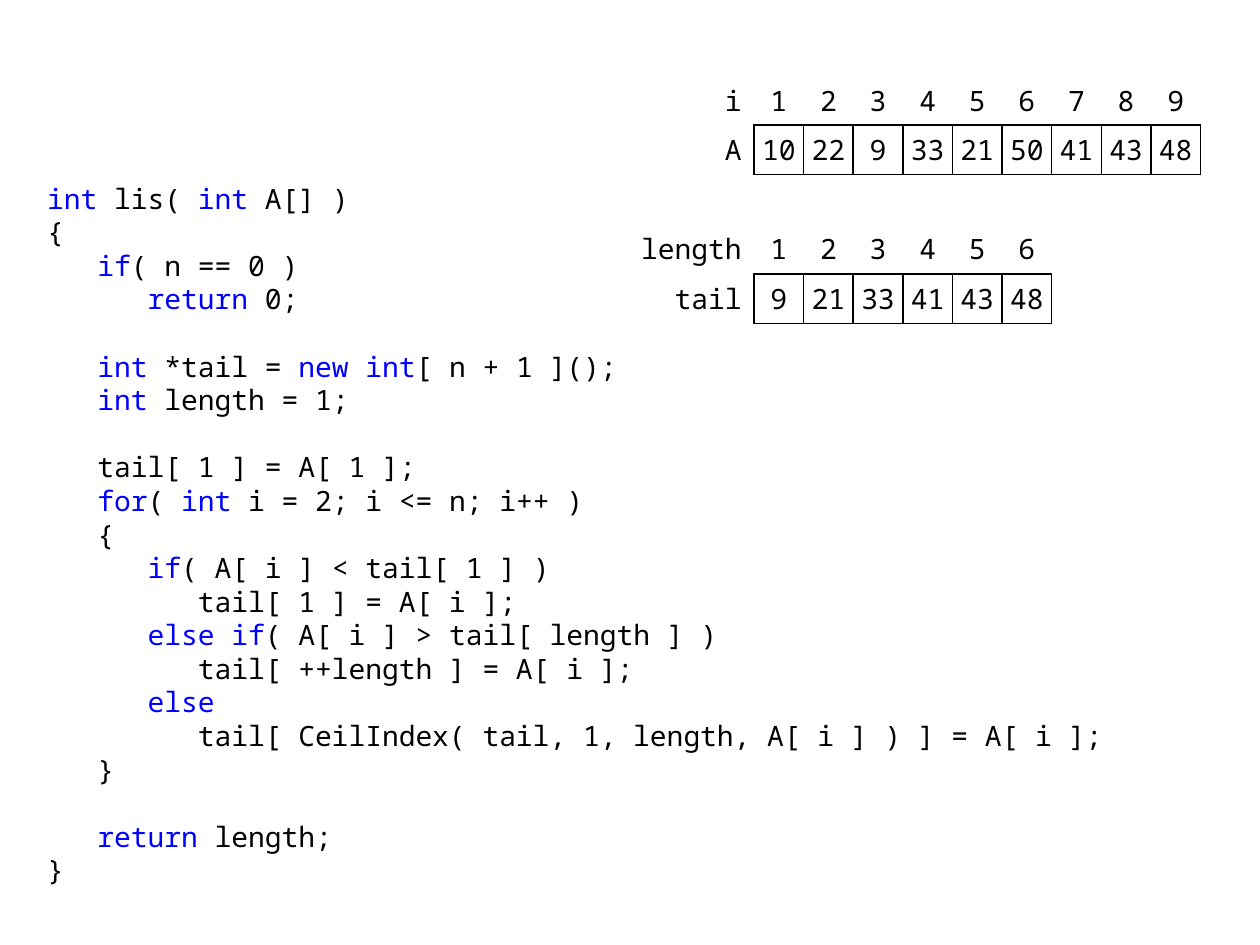
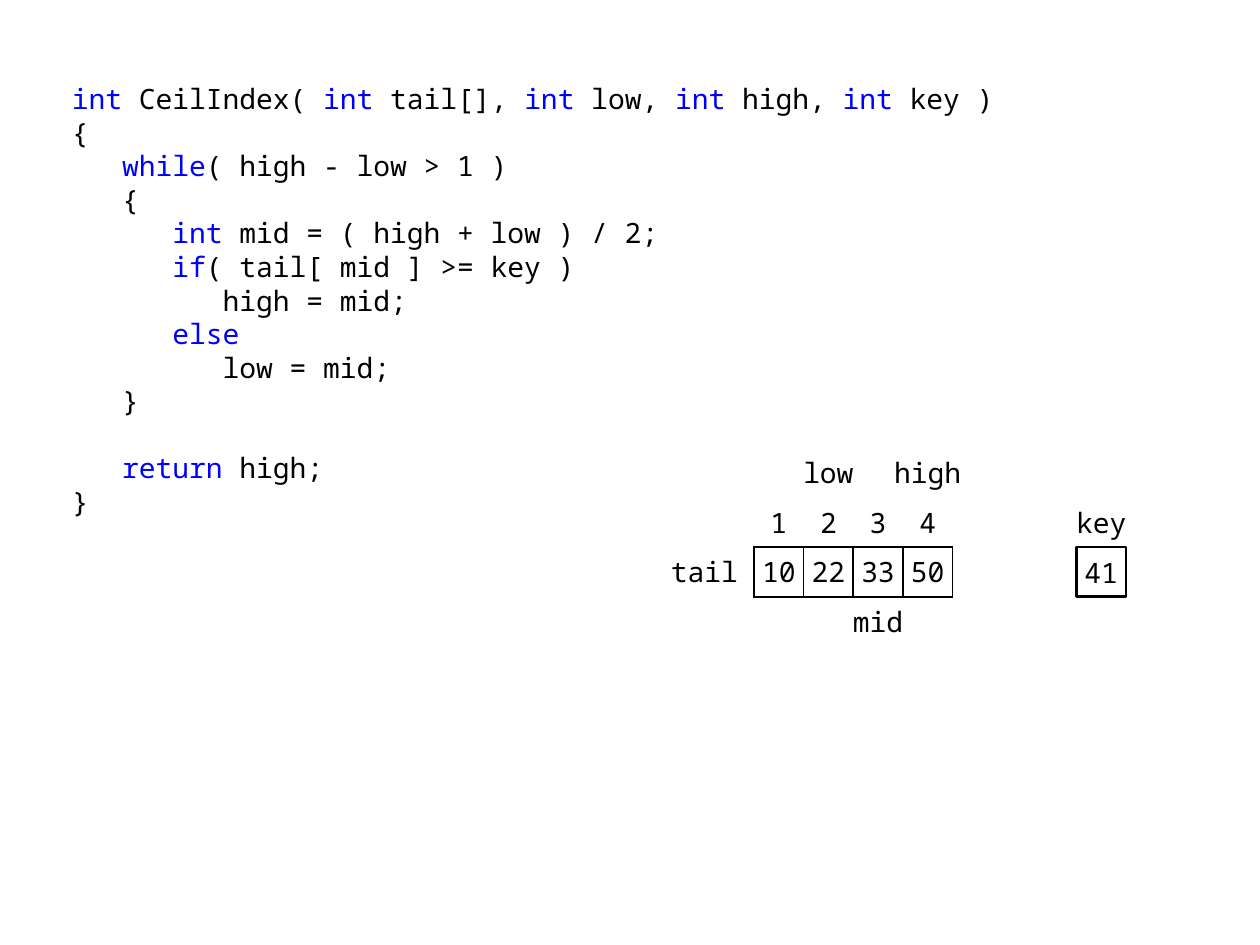
from itertools import groupby

from lxml import etree
from pptx import Presentation
from pptx.dml.color import RGBColor
from pptx.enum.shapes import MSO_SHAPE
from pptx.enum.text import MSO_ANCHOR, PP_ALIGN
from pptx.oxml.ns import qn
from pptx.util import Cm, Pt

RECTANGLE = MSO_SHAPE.RECTANGLE
MIDDLE = MSO_ANCHOR.MIDDLE
CENTER, RIGHT = PP_ALIGN.CENTER, PP_ALIGN.RIGHT

FONT, SIZE = "Noto Sans Mono", 16
LINE_HEIGHT = 19.2
BLACK, WHITE, BLUE = "000000", "FFFFFF", "0000FF"
KEYWORDS = {"int", "if", "else", "for", "while", "new", "return"}
CELL = 1          # side of one array cell, in cm
ARRAY_LEFT = 15.2  # where the first value of every array starts

LIS_CODE = """\
int lis( int A[] )
{
   if( n == 0 )
      return 0;

   int *tail = new int[ n + 1 ]();
   int length = 1;

   tail[ 1 ] = A[ 1 ];
   for( int i = 2; i <= n; i++ )
   {
      if( A[ i ] < tail[ 1 ] )
         tail[ 1 ] = A[ i ];
      else if( A[ i ] > tail[ length ] )
         tail[ ++length ] = A[ i ];
      else
         tail[ CeilIndex( tail, 1, length, A[ i ] ) ] = A[ i ];
   }

   return length;
}"""

CEIL_INDEX_CODE = """\
int CeilIndex( int tail[], int low, int high, int key )
{
   while( high - low > 1 )
   {
      int mid = ( high + low ) / 2;
      if( tail[ mid ] >= key )
         high = mid;
      else
         low = mid;
   }

   return high;
}"""


def color(hex_string):
    return RGBColor.from_string(hex_string)


def style_span(span, hex_string=BLACK):
    span.font.name = FONT
    span.font.size = Pt(SIZE)
    span.font.color.rgb = color(hex_string)


def write_label(frame, text, align=CENTER):
    """Fill a frame with one line of code text."""
    frame.text = str(text)
    para = frame.paragraphs[0]
    para.alignment = align
    for span in para.runs:
        style_span(span)


def add_code(page, left, top, width, height, code):
    """Code listing with blue keywords; an empty line becomes space before."""
    box = page.shapes.add_textbox(Cm(left), Cm(top), Cm(width), Cm(height))
    frame = box.text_frame
    frame.word_wrap = True
    para = frame.paragraphs[0]
    gap = 0
    for number, line in enumerate(code.splitlines()):
        if not line:
            gap = LINE_HEIGHT
            continue
        if number:
            para = frame.add_paragraph()
        para.line_spacing = Pt(LINE_HEIGHT)
        para.space_before = Pt(gap)
        gap = 0
        words = ["".join(chars) for _, chars in groupby(line, str.isalnum)]
        for is_keyword, part in groupby(words, lambda word: word in KEYWORDS):
            span = para.add_run()
            span.text = "".join(part)
            style_span(span, BLUE if is_keyword else BLACK)


def set_borders(cell, sides):
    """Draw 1 pt black lines on the named sides (L, R, T, B), in that order."""
    properties = cell._tc.get_or_add_tcPr()
    for side in sides:
        line = etree.SubElement(properties, qn(f"a:ln{side}"), w=str(Pt(1)))
        fill = etree.SubElement(line, qn("a:solidFill"))
        etree.SubElement(fill, qn("a:srgbClr"), val=BLACK)


def add_array(page, top, label_width, labels, values, label_align=RIGHT):
    """Indices from 1 above a row of boxed values, with labels to the left."""
    rows = [[labels[0], *range(1, len(values) + 1)], [labels[1], *values]]
    columns = len(rows[0])
    table = page.shapes.add_table(
        2, columns, Cm(ARRAY_LEFT - label_width), Cm(top),
        Cm(label_width + CELL * len(values)), Cm(2 * CELL)).table
    table.first_row = table.horz_banding = False
    for row in table.rows:
        row.height = Cm(CELL)
    for index, column in enumerate(table.columns):
        column.width = Cm(CELL if index else label_width)

    for row_index, row in enumerate(rows):
        for index, text in enumerate(row):
            cell = table.cell(row_index, index)
            align = CENTER if index else label_align
            cell.margin_left = cell.margin_top = cell.margin_bottom = 0
            cell.margin_right = Cm(0.25 if align == RIGHT else 0)
            cell.vertical_anchor = MIDDLE
            write_label(cell.text_frame, text, align)
            if index:
                set_borders(cell, "LRTB" if row_index else "B")
            elif row_index:
                set_borders(cell, "R")
            cell.fill.background()


def add_marker(page, center, top, text, width=2, outlined=False):
    """White box centred on a column."""
    box = page.shapes.add_shape(
        RECTANGLE, Cm(center - width / 2), Cm(top), Cm(width), Cm(CELL))
    box.shadow.inherit = False
    box.fill.solid()
    box.fill.fore_color.rgb = color(WHITE)
    if outlined:
        box.line.color.rgb = color(BLACK)
        box.line.width = Pt(1.5)
    else:
        box.line.fill.background()
    frame = box.text_frame
    frame.word_wrap = False
    frame.margin_left = frame.margin_right = 0
    frame.vertical_anchor = MIDDLE
    write_label(frame, text)


def column_center(index):
    return ARRAY_LEFT + (index - 0.5) * CELL


def build_lis_page(page):
    add_code(page, 0.7, 3.53, 23, 14.5, LIS_CODE)
    add_array(page, 4.52, 2.5, ("length", "tail"), (9, 21, 33, 41, 43, 48))
    add_array(page, 1.52, 1, ("i", "A"), (10, 22, 9, 33, 21, 50, 41, 43, 48))


def build_search_page(page):
    add_code(page, 1.2, 1.52, 23, 16.5, CEIL_INDEX_CODE)
    top = 10.03
    # Search bounds around the array
    add_marker(page, column_center(3), top + 2 * CELL, "mid")
    add_array(page, top, 2, ("", "tail"), (10, 22, 33, 50), CENTER)
    add_marker(page, column_center(2), top - CELL, "low")
    add_marker(page, column_center(4), top - CELL, "high")
    # Searched key
    key_center = 22.2
    add_marker(page, key_center, top, "key")
    add_marker(page, key_center, top + CELL, 41, CELL, outlined=True)


def main():
    deck = Presentation()
    deck.slide_width, deck.slide_height = Cm(25.4), Cm(19.05)
    for build in (build_lis_page, build_search_page):
        build(deck.slides.add_slide(deck.slide_layouts[6]))
    deck.save("out.pptx")


if __name__ == "__main__":
    main()
